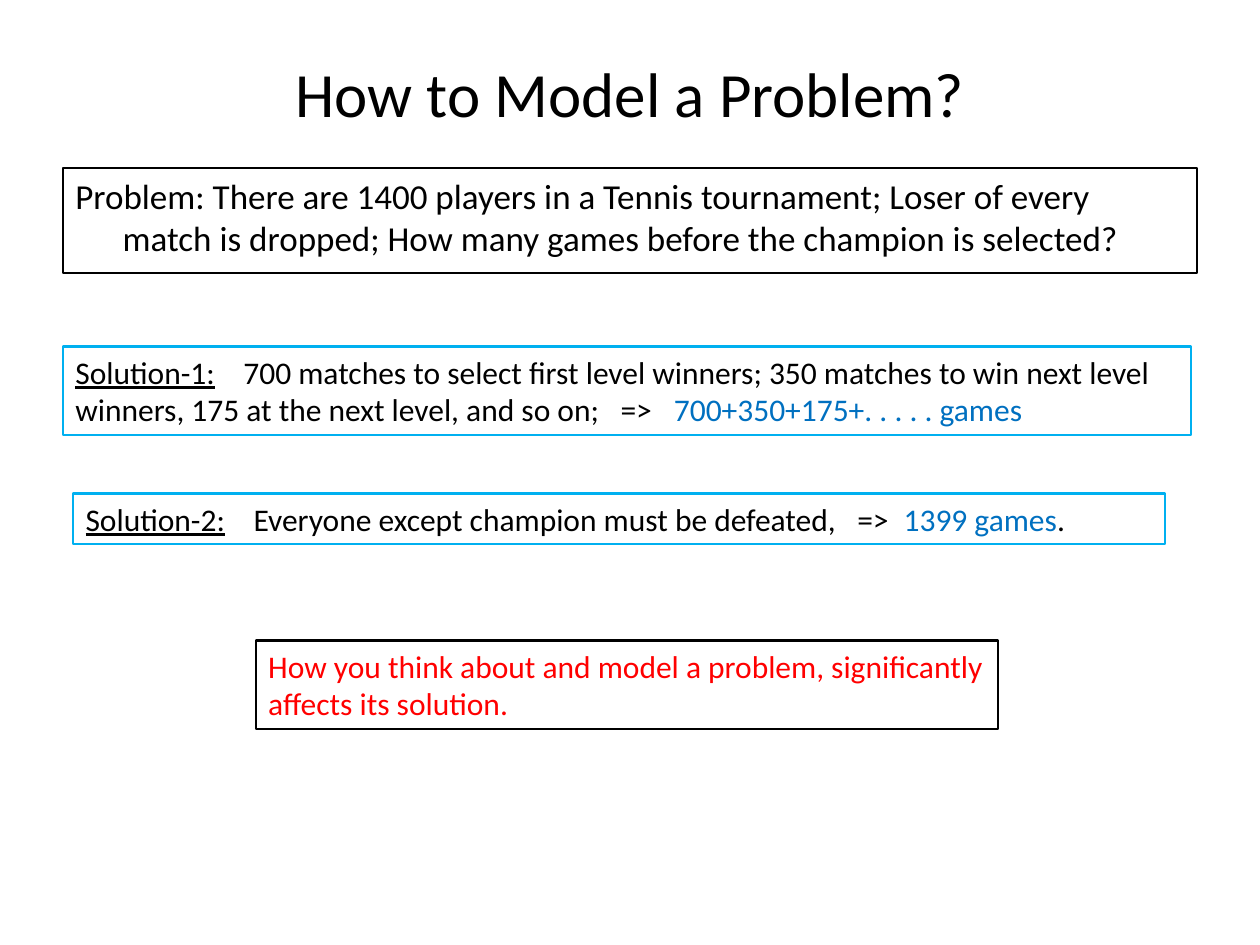
from lxml import etree
from pptx import Presentation
from pptx import util as u
from pptx.dml.color import RGBColor
from pptx.enum import text
from pptx.oxml import ns

THEME = {
    "font": "Calibri",
    "black": RGBColor(0x00, 0x00, 0x00),
    "border": RGBColor(0x00, 0xB0, 0xF0),
    "answer": RGBColor(0x00, 0x70, 0xC0),
    "lesson": RGBColor(0xFF, 0x00, 0x00),
    "title_size": u.Pt(36),
    "problem_size": u.Pt(20),
    "text_size": u.Pt(18),
}


def add_run(paragraph, words, color, size, underline=False):
    run = paragraph.add_run()
    run.text = words
    run.font.color.rgb = THEME[color]
    formats = {"name": THEME["font"], "size": THEME[size], "underline": underline}
    for name, value in formats.items():
        setattr(run.font, name, value)


presentation = Presentation()
presentation.slide_width, presentation.slide_height = u.Pt(720), u.Pt(540)
slide = presentation.slides.add_slide(presentation.slide_layouts[5])

title = slide.shapes.title
placement = {"left": 36, "top": 21.6, "width": 648, "height": 62.6}
for name, value in placement.items():
    setattr(title, name, u.Pt(value))
title.text_frame.vertical_anchor = text.MSO_ANCHOR.MIDDLE
heading = title.text_frame.paragraphs[0]
heading.alignment = text.PP_ALIGN.CENTER
add_run(heading, "How to Model a Problem?", "black", "title_size")

# Each paragraph is a list of runs: words, colour and, where needed, underline.
boxes = [
    {
        "place": (36, 96, 648, 60), "border": "black", "weight": 0.75,
        "size": "problem_size", "hanging": 27,
        "paragraphs": [[("Problem: There are 1400 players in a Tennis tournament; "
                         "Loser of every match is dropped; How many games before "
                         "the champion is selected?", "black")]],
    },
    {
        "place": (36, 198, 644.4, 50.4), "border": "border", "tabs": (96, 311.5, 342),
        "paragraphs": [[
            ("Solution-1:", "black", True),
            ("\t700 matches to select first level winners; 350 matches to win "
             "next level winners, 175 at the next level, and so on;\t=>\t", "black"),
            ("700+350+175+. . . . . games", "answer"),
        ]],
    },
    {
        "place": (41.8, 282, 624.2, 29), "border": "border", "tabs": (96, 441, 467.5),
        "paragraphs": [[
            ("Solution-2:", "black", True),
            ("\tEveryone except champion must be defeated,\t=>\t", "black"),
            ("1399 games", "answer"),
            (".", "black"),
        ]],
    },
    {
        "place": (146.2, 366, 424, 50.4), "border": "black", "wrap": False,
        "paragraphs": [
            [("How you think about and model a problem, significantly", "lesson")],
            [("affects its solution.", "lesson")],
        ],
    },
]

for box in boxes:
    shape = slide.shapes.add_textbox(*map(u.Pt, box["place"]))
    shape.line.color.rgb = THEME[box["border"]]
    shape.line.width = u.Pt(box.get("weight", 1.25))
    frame = shape.text_frame
    frame.word_wrap = box.get("wrap", True)
    for index, runs in enumerate(box["paragraphs"]):
        paragraph = frame.add_paragraph() if index else frame.paragraphs[0]
        properties = paragraph._p.get_or_add_pPr()
        if "hanging" in box:
            properties.set("marL", str(u.Pt(box["hanging"])))
            properties.set("indent", str(-u.Pt(box["hanging"])))
        if "tabs" in box:
            tab_list = etree.SubElement(properties, ns.qn("a:tabLst"))
            for position in box["tabs"]:
                etree.SubElement(tab_list, ns.qn("a:tab"),
                                 pos=str(u.Pt(position)), algn="l")
        for words, color, *underline in runs:
            add_run(paragraph, words, color, box.get("size", "text_size"), *underline)

presentation.save("out.pptx")
